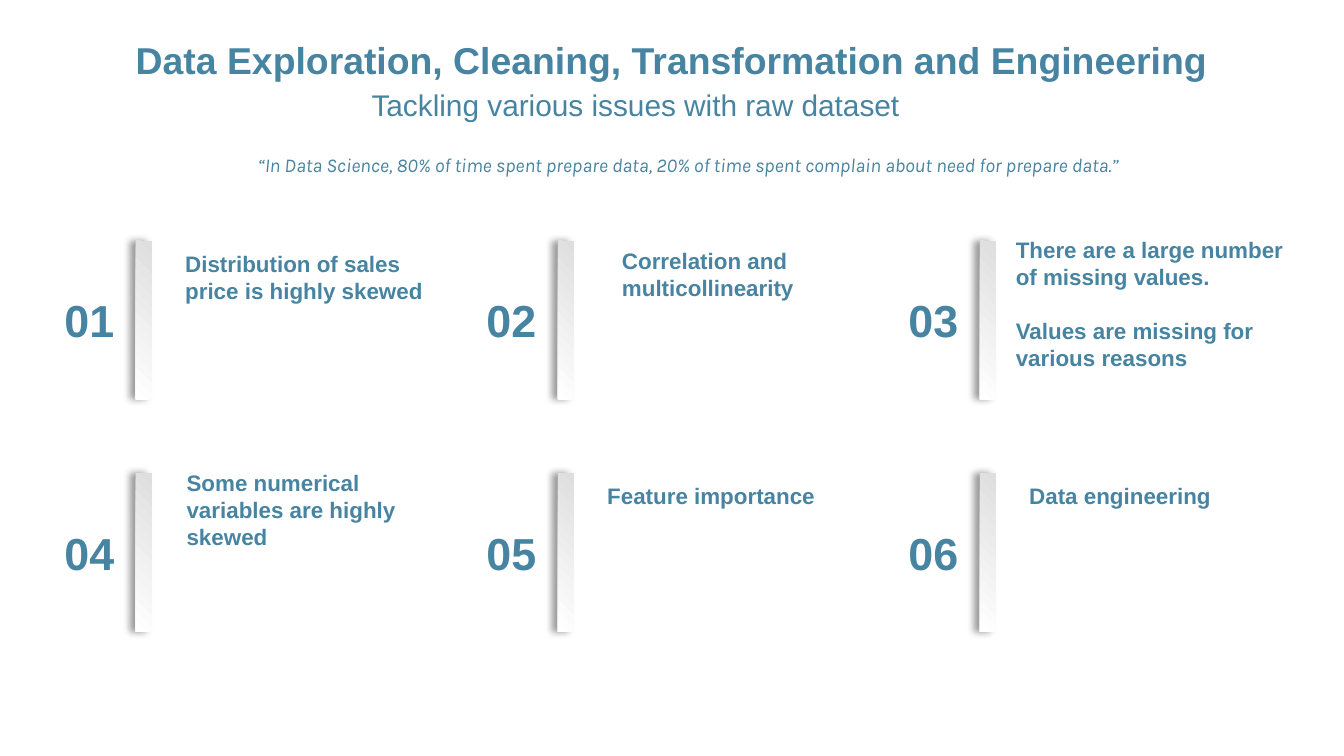
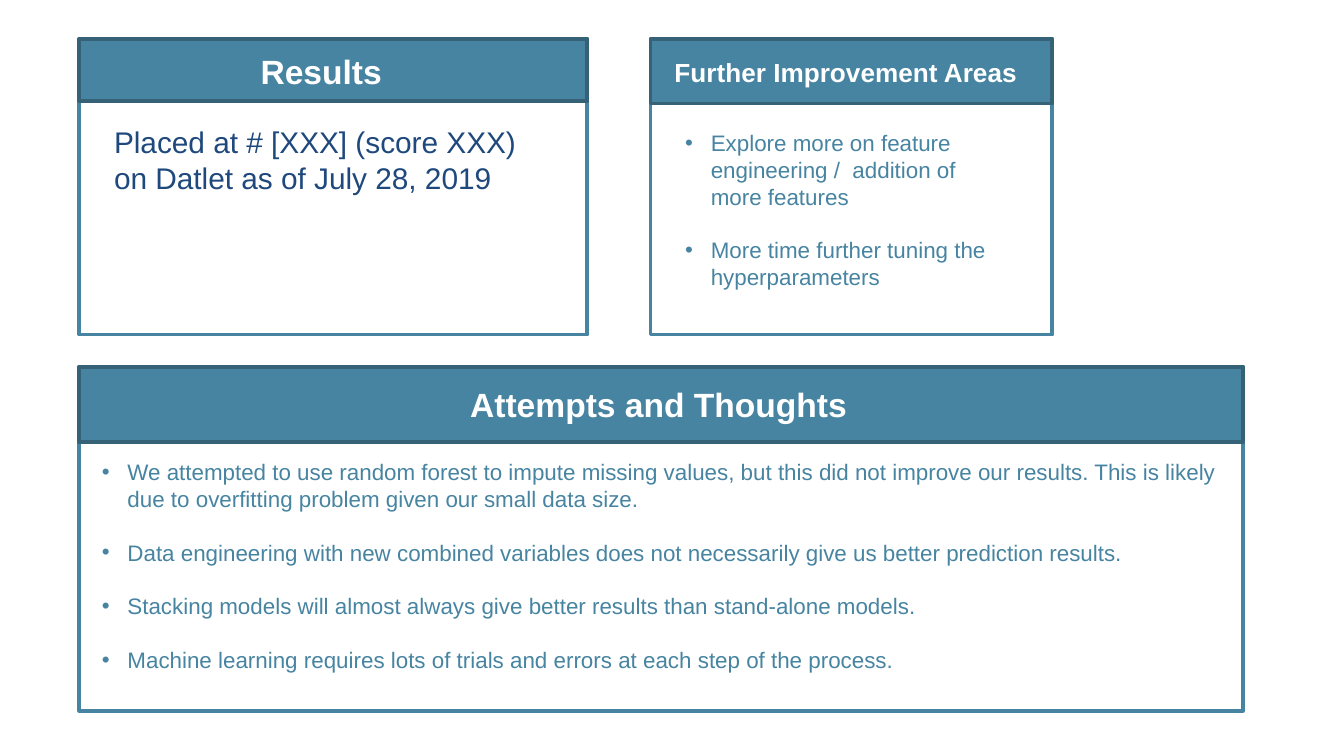
import pptx
import pptx.util
import pptx.dml.color
import pptx.enum.shapes
import pptx.enum.text
import pptx.oxml.ns
import lxml.etree

Inches = pptx.util.Inches
Pt = pptx.util.Pt
ALIGN = pptx.enum.text.PP_ALIGN
ANCHOR = pptx.enum.text.MSO_ANCHOR

COLORS = {
    "teal": "4784A1",
    "dark_teal": "356277",
    "navy": "1F497D",
    "white": "FFFFFF",
    "gray": "DEDEDE",
    "black": "000000",
}
FONT = "Arial"
LINE_GAP = 14.4
BULLET_INDENT = 0.19
SLIDE_WIDTH = 10

COLUMN_LEFT, COLUMN_STEP = 0.33, 3.14
ROW_TOP, ROW_STEP = 1.79, 1.73

ISSUES = [
    (["Distribution of sales price is highly skewed"], 1.28, 1.81, 0.5),
    (["Correlation and multicollinearity"], 4.53, 1.79, 0.5),
    (["There are a large number of missing values.",
      "Values are missing for various reasons"], 7.46, 1.71, 1.11),
    (["Some numerical variables are highly skewed"], 1.29, 3.44, 0.71),
    (["Feature importance"], 4.42, 3.54, 0.3),
    (["Data engineering"], 7.56, 3.54, 0.3),
]

ATTEMPTS = [
    "We attempted to use random forest to impute missing values, but this did not "
    "improve our results. This is likely due to overfitting problem given our small data size.",
    "Data engineering with new combined variables does not necessarily give us better "
    "prediction results.",
    "Stacking models will almost always give better results than stand-alone models.",
    "Machine learning requires lots of trials and errors at each step of the process.",
]

IMPROVEMENTS = [
    "Explore more on feature engineering /  addition of more features",
    "More time further tuning the hyperparameters",
]


def rgb(name):
    return pptx.dml.color.RGBColor.from_string(COLORS[name])


def add_xml(parent, tag, **attributes):
    return lxml.etree.SubElement(parent, pptx.oxml.ns.qn(tag), attributes)


def place(shape, left, top, width, height):
    shape.left, shape.top = Inches(left), Inches(top)
    shape.width, shape.height = Inches(width), Inches(height)


def add_bullet(paragraph):
    properties = paragraph._p.get_or_add_pPr()
    indent = Inches(BULLET_INDENT)
    properties.set("marL", str(indent))
    properties.set("indent", str(-indent))
    add_xml(properties, "a:buFont", typeface=FONT)
    add_xml(properties, "a:buChar", char="•")


def write_text(shape, texts, size, color="teal", bold=False, italic=False, font=FONT,
               align=ALIGN.LEFT, anchor=ANCHOR.TOP, bullets=False, wrap=True):
    frame = shape.text_frame
    frame.word_wrap = wrap
    frame.auto_size = pptx.enum.text.MSO_AUTO_SIZE.NONE
    frame.vertical_anchor = anchor
    for index, text in enumerate(texts):
        paragraph = frame.add_paragraph() if index else frame.paragraphs[0]
        paragraph.alignment = align
        paragraph.space_before = Pt(LINE_GAP if index else 0)
        if bullets:
            add_bullet(paragraph)
        run = paragraph.add_run()
        run.text = text
        run.font.name = font
        run.font.size = Pt(size)
        run.font.bold = bold
        run.font.italic = italic
        run.font.color.rgb = rgb(color)


def add_text(slide, box, texts, size, **style):
    shape = slide.shapes.add_textbox(*map(Inches, box))
    write_text(shape, texts, size, **style)


def add_title(slide, box, text):
    title = slide.shapes.title
    place(title, *box)
    write_text(title, [text], 20, bold=True, align=ALIGN.CENTER, anchor=ANCHOR.MIDDLE)


def add_rectangle(slide, box, fill=None, line=None):
    shape = slide.shapes.add_shape(
        pptx.enum.shapes.MSO_SHAPE.RECTANGLE, *map(Inches, box))
    shape.shadow.inherit = False
    if fill:
        shape.fill.solid()
        shape.fill.fore_color.rgb = rgb(fill)
    else:
        shape.fill.background()
    if line:
        shape.line.color.rgb = rgb(line)
        shape.line.width = Pt(2)
    else:
        shape.line.fill.background()
    return shape


def add_shaded_bar(slide, box):
    bar = add_rectangle(slide, box)
    bar.fill.gradient()
    bar.fill.gradient_angle = 225
    for stop, color in zip(bar.fill.gradient_stops, ("gray", "white")):
        stop.color.rgb = rgb(color)
    effects = bar._element.spPr.find(pptx.oxml.ns.qn("a:effectLst"))
    shadow = add_xml(effects, "a:outerShdw", blurRad=str(Pt(4)), dist=str(Pt(3)),
                     dir="10800000", algn="r", rotWithShape="0")
    shadow_color = add_xml(shadow, "a:srgbClr", val=COLORS["black"])
    add_xml(shadow_color, "a:alpha", val="40000")


def add_issue(slide, index, texts, left, top, height):
    row, column = divmod(index, 3)
    number_left = COLUMN_LEFT + column * COLUMN_STEP
    bar_top = ROW_TOP + row * ROW_STEP
    add_text(slide, (number_left, bar_top + 0.34, 0.67, 0.5), [f"{index + 1:02d}"], 24,
             bold=True, align=ALIGN.CENTER, anchor=ANCHOR.MIDDLE)
    add_shaded_bar(slide, (number_left + 0.68, bar_top, 0.12, 1.18))
    add_text(slide, (left, top, 2.2, height), texts, 12, bold=True)


def add_panel(slide, box, header_height, heading, heading_box, heading_size=18, wrap=False):
    left, top, width, height = box
    add_rectangle(slide, box, line="teal")
    add_rectangle(slide, (left, top, width, header_height), "teal", "dark_teal")
    add_text(slide, heading_box, [heading], heading_size, color="white", bold=True, wrap=wrap)


def build_issues_slide(presentation):
    slide = presentation.slides.add_slide(presentation.slide_layouts.get_by_name("Title Only"))
    add_title(slide, (0, 0.13, 10, 0.63),
              "Data Exploration, Cleaning, Transformation and Engineering")
    add_text(slide, (-0.27, 0.62, 10, 0.31), ["Tackling various issues with raw dataset"], 16,
             align=ALIGN.CENTER, anchor=ANCHOR.MIDDLE)
    add_text(slide, (1.82, 1.09, 7.39, 0.29),
             ["“In Data Science, 80% of time spent prepare data, 20% of time spent "
              "complain about need for prepare data.”"],
             10.5, italic=True, font="Karla")
    for index, issue in enumerate(ISSUES):
        add_issue(slide, index, *issue)


def build_results_slide(presentation):
    slide = presentation.slides.add_slide(presentation.slide_layouts.get_by_name("Blank"))
    add_panel(slide, (0.59, 0.29, 3.78, 2.2), 0.46, "Results", (1.84, 0.33, 1.11, 0.4))
    add_text(slide, (0.75, 0.87, 3.31, 0.64),
             ["Placed at # [XXX] (score XXX) on Datlet as of July 28, 2019"], 16, color="navy")
    add_panel(slide, (4.84, 0.29, 2.99, 2.2), 0.48, "Further Improvement Areas",
              (4.92, 0.37, 2.91, 0.34), heading_size=14, wrap=True)
    add_text(slide, (5, 0.91, 2.52, 1.72), IMPROVEMENTS, 12, bullets=True)
    add_panel(slide, (0.59, 2.73, 8.66, 2.56), 0.56, "Attempts and Thoughts",
              (3.4, 2.81, 3.03, 0.4))
    add_text(slide, (0.66, 3.36, 8.52, 2.26), ATTEMPTS, 12, bullets=True)


def main():
    presentation = pptx.Presentation()
    presentation.slide_width = Inches(SLIDE_WIDTH)
    presentation.slide_height = Inches(SLIDE_WIDTH * 9 / 16)
    build_issues_slide(presentation)
    build_results_slide(presentation)
    presentation.save("out.pptx")


if __name__ == "__main__":
    main()
